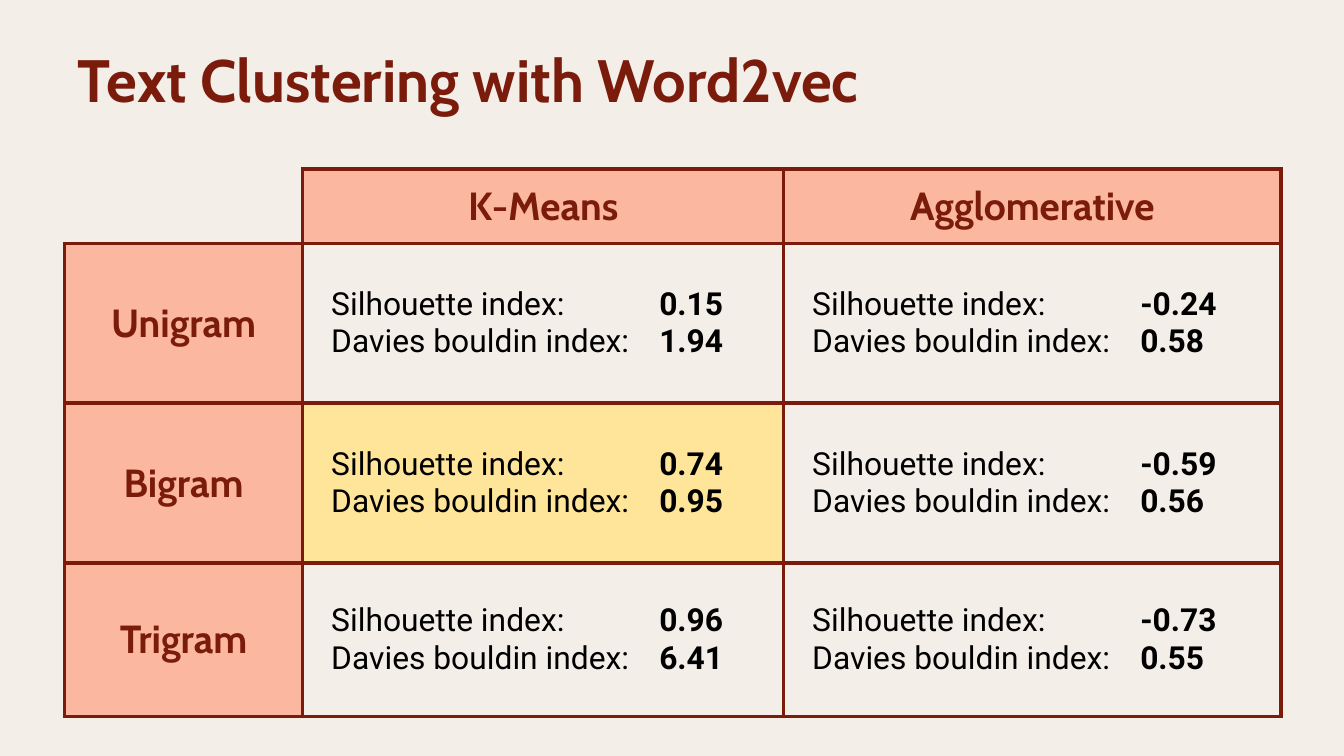
from dataclasses import dataclass

from lxml import etree
from pptx import Presentation
from pptx.dml.color import RGBColor
from pptx.enum.text import MSO_ANCHOR, MSO_AUTO_SIZE, PP_ALIGN
from pptx.oxml.ns import qn
from pptx.table import _Cell
from pptx.text.text import _Paragraph
from pptx.util import Cm, Pt

LEFT, CENTER = PP_ALIGN.LEFT, PP_ALIGN.CENTER
MIDDLE, BOTTOM = MSO_ANCHOR.MIDDLE, MSO_ANCHOR.BOTTOM
NO_AUTOFIT = MSO_AUTO_SIZE.NONE

COLORS = {
    "background": "F4EEE9",
    "maroon": "7A1B0C",
    "heading": "FCB7A1",
    "best": "FFE599",
    "text": "000000",
}
HEADING_FONT, BODY_FONT = "Cabin", "Roboto"
INSET = Cm(0.25)
SCORE_INDENT = Cm(0.54)
VALUE_TAB = Cm(6.2)
BORDER_WIDTH = Pt(2.25)
COLUMN_WIDTHS = [Cm(4.5), Cm(9.09), Cm(9.4)]
ROW_HEIGHTS = [Cm(1.4), Cm(3.02), Cm(3.02), Cm(2.9)]


@dataclass
class Score:
    silhouette: str
    davies_bouldin: str
    best: bool = False


@dataclass
class NgramResult:
    name: str
    scores: list[Score]


METHODS = ["K-Means", "Agglomerative"]
RESULTS = [
    NgramResult("Unigram", [Score("0.15", "1.94"), Score("-0.24", "0.58")]),
    NgramResult("Bigram", [Score("0.74", "0.95", best=True), Score("-0.59", "0.56")]),
    NgramResult("Trigram", [Score("0.96", "6.41"), Score("-0.73", "0.55")]),
]


def rgb(name: str) -> RGBColor:
    return RGBColor.from_string(COLORS[name])


def set_font(paragraph: _Paragraph, name: str, size: float, color: str, bold: bool) -> None:
    font = paragraph.font
    font.name, font.size, font.bold = name, Pt(size), bold
    font.color.rgb = rgb(color)


def format_cell(cell: _Cell, fill: str | None, outer: str = "maroon") -> None:
    """Set borders, insets and fill; outer colours the left and top borders."""
    properties = cell._tc.get_or_add_tcPr()
    borders = {"lnL": outer, "lnR": "maroon", "lnT": outer, "lnB": "maroon"}
    for side, color in borders.items():
        line = etree.SubElement(properties, qn(f"a:{side}"), w=str(int(BORDER_WIDTH)))
        solid = etree.SubElement(line, qn("a:solidFill"))
        etree.SubElement(solid, qn("a:srgbClr"), val=COLORS[color])
    if fill:
        cell.fill.solid()
        cell.fill.fore_color.rgb = rgb(fill)
    else:
        cell.fill.background()
    cell.vertical_anchor = MIDDLE
    cell.margin_left = cell.margin_right = INSET
    cell.margin_top = cell.margin_bottom = INSET


def write_heading(cell: _Cell, text: str) -> None:
    format_cell(cell, "heading")
    paragraph = cell.text_frame.paragraphs[0]
    paragraph.text = text
    paragraph.alignment = CENTER
    set_font(paragraph, HEADING_FONT, 21, "maroon", True)


def write_score(cell: _Cell, score: Score) -> None:
    format_cell(cell, "best" if score.best else None)
    cell.margin_left = SCORE_INDENT
    frame = cell.text_frame
    measures = [
        (frame.paragraphs[0], "Silhouette index:", score.silhouette),
        (frame.add_paragraph(), "Davies bouldin index:", score.davies_bouldin),
    ]
    for paragraph, label, value in measures:
        tabs = etree.SubElement(paragraph._p.get_or_add_pPr(), qn("a:tabLst"))
        etree.SubElement(tabs, qn("a:tab"), pos=str(int(VALUE_TAB)), algn="l")
        set_font(paragraph, BODY_FONT, 17, "text", False)
        paragraph.add_run().text = f"{label}\t"
        value_run = paragraph.add_run()
        value_run.text = value
        value_run.font.bold = True


def main() -> None:
    presentation = Presentation()
    presentation.slide_width, presentation.slide_height = Cm(25.4), Cm(14.29)
    slide = presentation.slides.add_slide(presentation.slide_layouts[5])
    slide.background.fill.solid()
    slide.background.fill.fore_color.rgb = rgb("background")

    # Title
    title = slide.shapes.title
    title.left, title.top, title.width, title.height = Cm(1.22), Cm(0.74), Cm(16.69), Cm(1.68)
    frame = title.text_frame
    frame.text = "Text Clustering with Word2vec"
    frame.auto_size = NO_AUTOFIT
    frame.vertical_anchor = BOTTOM
    frame.margin_left = frame.margin_right = INSET
    frame.margin_top = frame.margin_bottom = INSET
    frame.paragraphs[0].alignment = LEFT
    set_font(frame.paragraphs[0], HEADING_FONT, 32, "maroon", True)

    # Table grid
    table = slide.shapes.add_table(
        len(ROW_HEIGHTS), len(COLUMN_WIDTHS),
        Cm(1.22), Cm(3.2), sum(COLUMN_WIDTHS), sum(ROW_HEIGHTS),
    ).table
    table.first_row = table.horz_banding = False
    for column, width in zip(table.columns, COLUMN_WIDTHS):
        column.width = width
    for row, height in zip(table.rows, ROW_HEIGHTS):
        row.height = height

    # Headings and scores
    format_cell(table.cell(0, 0), None, outer="background")
    for column_index, method in enumerate(METHODS, start=1):
        write_heading(table.cell(0, column_index), method)
    for row_index, result in enumerate(RESULTS, start=1):
        write_heading(table.cell(row_index, 0), result.name)
        for column_index, score in enumerate(result.scores, start=1):
            write_score(table.cell(row_index, column_index), score)

    presentation.save("out.pptx")


if __name__ == "__main__":
    main()
